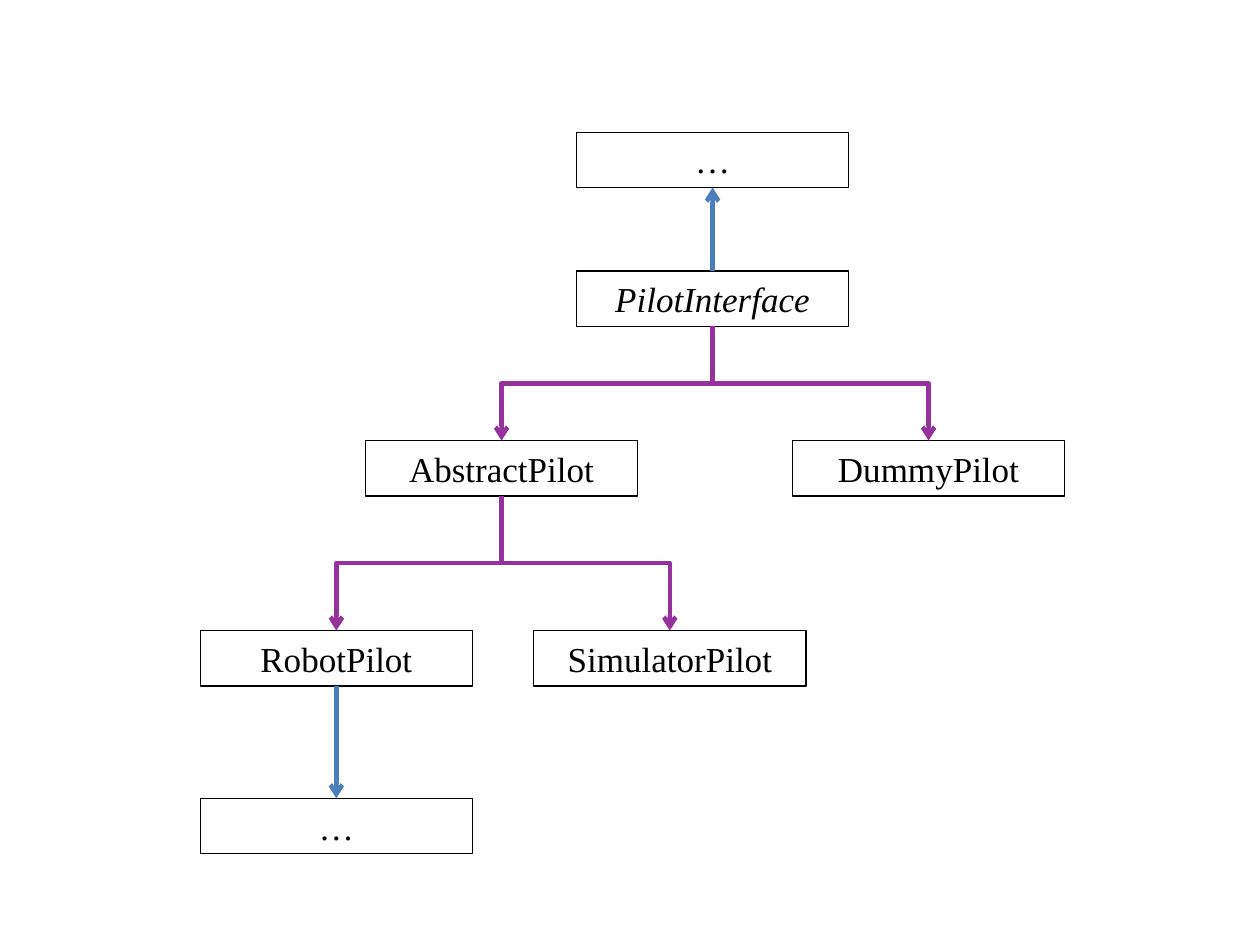
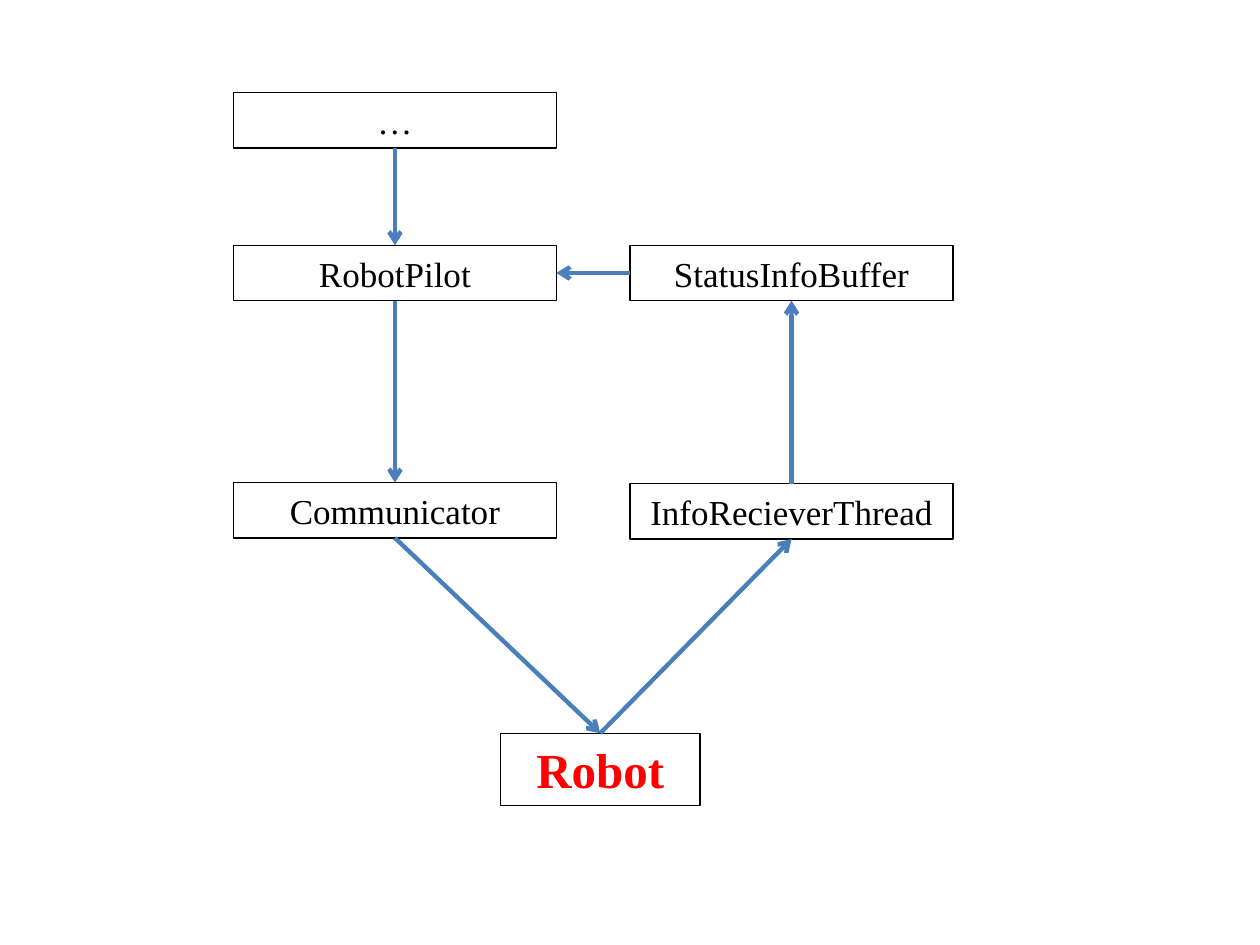
from pptx import Presentation
from pptx.dml.color import RGBColor
from pptx.enum.shapes import MSO_CONNECTOR, MSO_SHAPE
from pptx.enum.text import MSO_ANCHOR, MSO_AUTO_SIZE, PP_ALIGN
from pptx.oxml.ns import qn
from pptx.util import Pt
from lxml.etree import SubElement

# Connection sites of a rectangle
TOP, LEFT, BASE, RIGHT = range(4)


def color(code):
    """Turn a hex string into a colour."""
    return RGBColor.from_string(code)


class Chart:
    """Holds the style of the diagrams and the current slide."""

    font = "Times New Roman"
    ink = "000000"
    alert = "FF0000"
    call = "4B7EBC"
    child = "96329E"
    high = 31.6

    def __init__(self):
        """Start an empty 10 by 7.5 inch deck."""
        self.deck = Presentation()
        self.deck.slide_width = Pt(720)
        self.deck.slide_height = Pt(540)

    def page(self):
        """Add a blank slide and make it current."""
        self.slide = self.deck.slides.add_slide(self.deck.slide_layouts[6])

    def box(self, text, left, top, wide, high=high, size=20, ink=ink,
            bold=None, italic=None):
        """Add an outlined box with a centred label."""
        box = self.slide.shapes.add_shape(
            MSO_SHAPE.RECTANGLE, Pt(left), Pt(top), Pt(wide), Pt(high))
        box.shadow.inherit = False
        box.fill.background()
        box.line.color.rgb = color(self.ink)
        box.line.width = Pt(0.75)
        frame = box.text_frame
        frame.text = text
        frame.word_wrap = True
        frame.auto_size = MSO_AUTO_SIZE.SHAPE_TO_FIT_TEXT
        frame.vertical_anchor = MSO_ANCHOR.MIDDLE
        line = frame.paragraphs[0]
        line.alignment = PP_ALIGN.CENTER
        font = line.runs[0].font
        font.name, font.size = self.font, Pt(size)
        font.bold, font.italic = bold, italic
        font.color.rgb = color(ink)
        return box

    def link(self, start, out, end, into, kind=MSO_CONNECTOR.STRAIGHT,
             ink=call):
        """Glue an arrow from a site of one box to a site of another."""
        line = self.slide.shapes.add_connector(kind, 0, 0, 0, 0)
        line.begin_connect(start, out)
        line.end_connect(end, into)
        line.line.color.rgb = color(ink)
        line.line.width = Pt(2.5)
        props = line._element.spPr
        SubElement(props.find(qn("a:ln")), qn("a:tailEnd"), type="arrow")
        SubElement(props, qn("a:effectLst"))
        return line

    def branch(self, parent, child):
        """Add an elbow arrow that leaves down and arrives from above."""
        line = self.link(parent, BASE, child, TOP, MSO_CONNECTOR.ELBOW,
                         self.child)
        wide, high = line.width, line.height
        right = line.end_x > line.begin_x
        # The elbow preset runs sideways, so turn its frame a quarter.
        line.left += (wide - high) // 2
        line.top += (high - wide) // 2
        line.width, line.height = high, wide
        frame = line._element.spPr.find(qn("a:xfrm"))
        for flip in ("flipH", "flipV"):
            frame.attrib.pop(flip, None)
        frame.set("rot", str((270 if right else 90) * 60000))
        if right:
            frame.set("flipH", "1")


def pilots(chart):
    """Draw the class tree of the pilots."""
    chart.page()
    wide = 155.6
    mid, low = 251.8, 360.4
    base = chart.box("AbstractPilot", 208.8, mid, wide)
    sim = chart.box("SimulatorPilot", 305, low, wide)
    robot = chart.box("RobotPilot", 114.4, low, wide)
    dummy = chart.box("DummyPilot", 452.8, mid, wide)
    face = chart.box("PilotInterface", 329.4, 154.8, wide, italic=True)
    last = chart.box("…", 114.4, 456.2, wide)
    first = chart.box("…", 329.4, 75.6, wide)
    for parent, child in ((face, base), (face, dummy),
                          (base, robot), (base, sim)):
        chart.branch(parent, child)
    chart.link(robot, BASE, last, TOP)
    chart.link(face, TOP, first, BASE)


def traffic(chart):
    """Draw the message loop between the pilot and the robot."""
    chart.page()
    west, east, wide = 133.4, 360, 184.6
    pilot = chart.box("RobotPilot", west, 140.2, wide)
    sender = chart.box("Communicator", west, 275.8, wide)
    reader = chart.box("InfoRecieverThread", east, 276.4, wide)
    buffer = chart.box("StatusInfoBuffer", east, 140.2, wide)
    robot = chart.box("Robot", 286, 419, 114, 41.2, size=28,
                      ink=chart.alert, bold=True)
    first = chart.box("…", west, 53, wide)
    for ends in ((pilot, BASE, sender, TOP), (reader, TOP, buffer, BASE),
                 (buffer, LEFT, pilot, RIGHT), (sender, BASE, robot, TOP),
                 (robot, TOP, reader, BASE), (first, BASE, pilot, TOP)):
        chart.link(*ends)


chart = Chart()
pilots(chart)
traffic(chart)
chart.deck.save("out.pptx")
